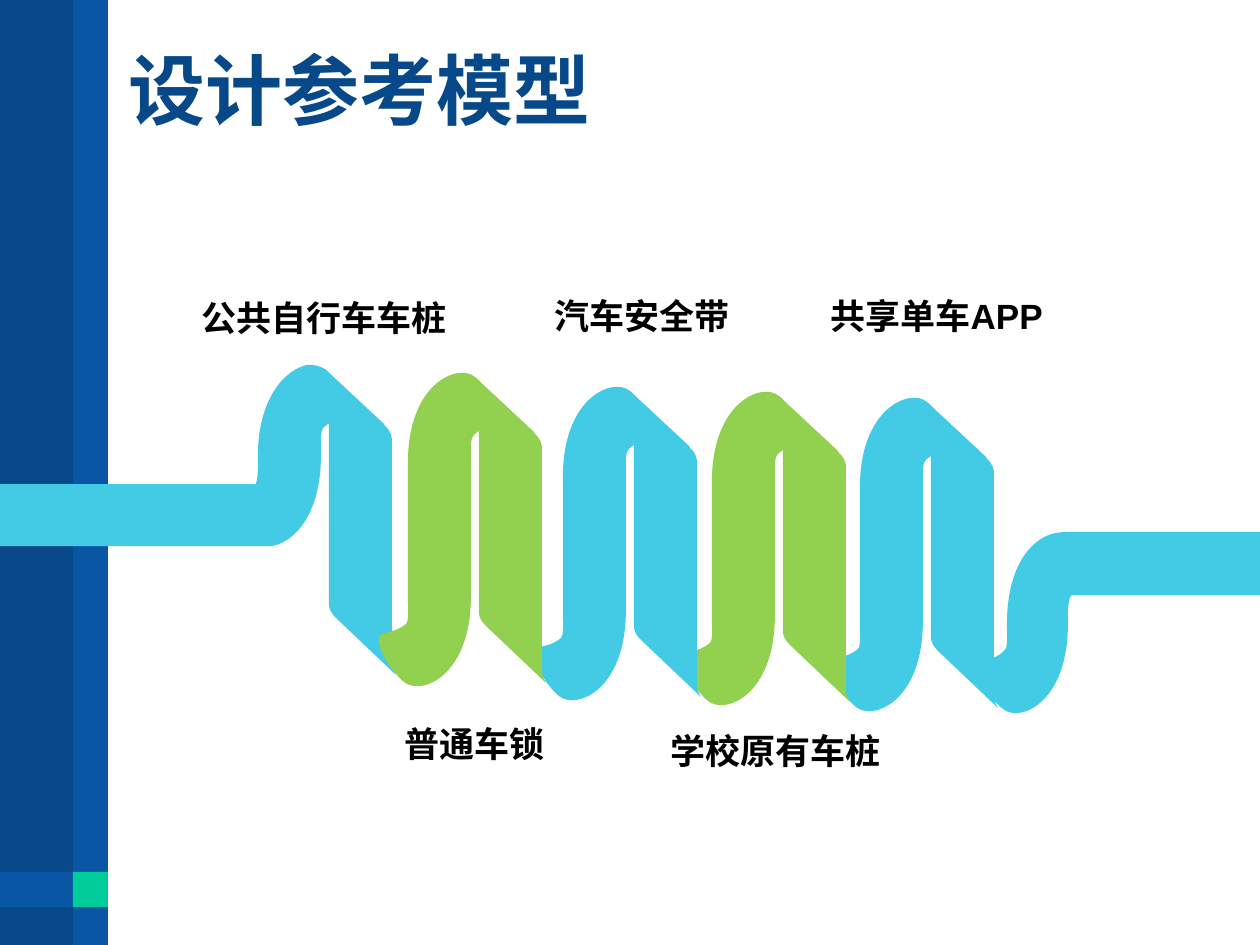
"""Build the design reference model slide with a folded ribbon."""
from lxml.etree import SubElement
from pptx import Presentation
from pptx.dml.color import RGBColor
from pptx.enum.shapes import MSO_SHAPE
from pptx.enum.text import MSO_ANCHOR, MSO_AUTO_SIZE, PP_ALIGN
from pptx.oxml.ns import qn
from pptx.util import Pt

PX = 914400 // 126
FONT = "Arial"
COLORS = {"navy": "074888", "blue": "0856A4", "mint": "00CC99",
          "sky": "43CAE5", "green": "92D050", "black": "000000"}

BARS = [
    ("navy", 0, 0, 105, 945),
    ("blue", 73, 0, 35, 945),
    ("blue", 0, 872, 105, 35),
    ("mint", 73, 872, 35, 35),
]
TITLE = ("设计参考模型", 116, 28, 1102, 158)
LABELS = [
    ("公共自行车车桩", 186, 278, 276, 63, PP_ALIGN.CENTER, 1.3),
    ("普通车锁", 392, 716, 257, 55, PP_ALIGN.LEFT, 1.0),
    ("汽车安全带", 542, 288, 257, 55, PP_ALIGN.LEFT, 1.0),
    ("学校原有车桩", 658, 723, 276, 55, PP_ALIGN.LEFT, 1.0),
    ("共享单车APP", 818, 288, 276, 55, PP_ALIGN.LEFT, 1.0),
]

# Each step holds one point for a line or three for a curve.
INLET = [
    (307, 365), (315, 364, 321, 367, 325, 369), (336, 379, 354, 403, 350, 415),
    (348, 422, 335, 417, 324, 427), (320, 431, 321, 441, 321, 456),
    (321, 517, 292, 543, 272, 546), (0, 546), (0, 484),
    (256, 484), (257, 480), (258, 475, 258, 467, 258, 456),
    (258, 396, 287, 369, 307, 365),
]
OUTLET = [
    (1065, 532), (1260, 532), (1260, 595), (1072, 595),
    (1068, 598, 1068, 609, 1068, 624), (1068, 704, 1019, 723, 1003, 709),
    (992, 701, 974, 677, 978, 665), (980, 658, 992, 663, 1004, 651),
    (1008, 649, 1007, 639, 1007, 624), (1007, 563, 1034, 537, 1056, 533),
    (1058, 533, 1061, 532, 1065, 532),
]
RISE = [
    (-4, 219), (-4, 86), (-4, 72, -5, 62, -1, 58), (10, 47, 23, 52, 25, 44),
    (28, 33, 11, 9, 0, 0), (-16, -14, -67, 5, -67, 86), (-67, 219),
    (-67, 234, -66, 244, -69, 247), (-82, 258, -93, 253, -96, 261),
    (-98, 272, -82, 296, -71, 305), (-54, 319, -4, 300, -4, 219),
]
FALL = [
    (67, 295), (67, 71), (67, 68, 66, 62, 60, 57), (59, 55), (0, 0),
    (0, 0, 4, 5, 4, 11), (4, 236), (4, 238, 5, 243, 10, 248), (11, 249),
    (71, 306), (71, 305, 67, 301, 67, 295),
]
FIRST_APEX = (325, 369)
FOLDS = [("sky", 927, 402), ("green", 779, 396), ("sky", 630, 391), ("green", 475, 377)]


def rgb(name):
    return RGBColor.from_string(COLORS[name])


def paint(sp, color):
    sp.shadow.inherit = False
    sp.fill.solid()
    sp.fill.fore_color.rgb = rgb(color)
    sp.line.fill.background()


def add_ribbon(s, steps, color, dx=0, dy=0):
    points = [((x + dx) * PX, (y + dy) * PX)
              for step in steps for x, y in zip(step[::2], step[1::2])]
    builder = s.shapes.build_freeform(*points[0], scale=1.0)
    builder.add_line_segments(points[1:], close=False)
    sp = builder.convert_to_shape()
    outline = sp._element.find(".//" + qn("a:path"))
    lines = iter(outline.findall(qn("a:lnTo")))
    for step in steps[1:]:
        is_curve = len(step) == 6
        segment = SubElement(outline, qn("a:cubicBezTo" if is_curve else "a:lnTo"))
        for _ in range(len(step) // 2):
            line = next(lines)
            segment.append(line[0])
            outline.remove(line)
    SubElement(outline, qn("a:close"))
    paint(sp, color)


def add_text(s, text, box, size, color, align=PP_ALIGN.LEFT, spacing=1.0):
    tf = s.shapes.add_textbox(*(v * PX for v in box)).text_frame
    tf.word_wrap = True
    p = tf.paragraphs[0]
    p.text = text
    p.alignment = align
    p.line_spacing = spacing
    p.font.name = FONT
    p.font.size = Pt(size)
    p.font.bold = True
    p.font.color.rgb = rgb(color)
    return tf


def main():
    prs = Presentation()
    prs.slide_width, prs.slide_height = 1260 * PX, 945 * PX
    s = prs.slides.add_slide(prs.slide_layouts[6])

    for color, *box in BARS:
        paint(s.shapes.add_shape(MSO_SHAPE.RECTANGLE, *(v * PX for v in box)), color)

    text, *box = TITLE
    tf = add_text(s, text, box, 44, "navy", spacing=Pt(32))
    tf.vertical_anchor = MSO_ANCHOR.MIDDLE

    add_ribbon(s, OUTLET, "sky")
    add_ribbon(s, INLET, "sky")
    add_ribbon(s, FALL, "sky", *FIRST_APEX)
    for color, x, y in FOLDS:
        add_ribbon(s, RISE, color, x, y)
        add_ribbon(s, FALL, color, x, y)

    for text, *box, align, spacing in LABELS:
        tf = add_text(s, text, box, 20, "black", align, spacing)
        tf.auto_size = MSO_AUTO_SIZE.SHAPE_TO_FIT_TEXT

    prs.save("out.pptx")


if __name__ == "__main__":
    main()
